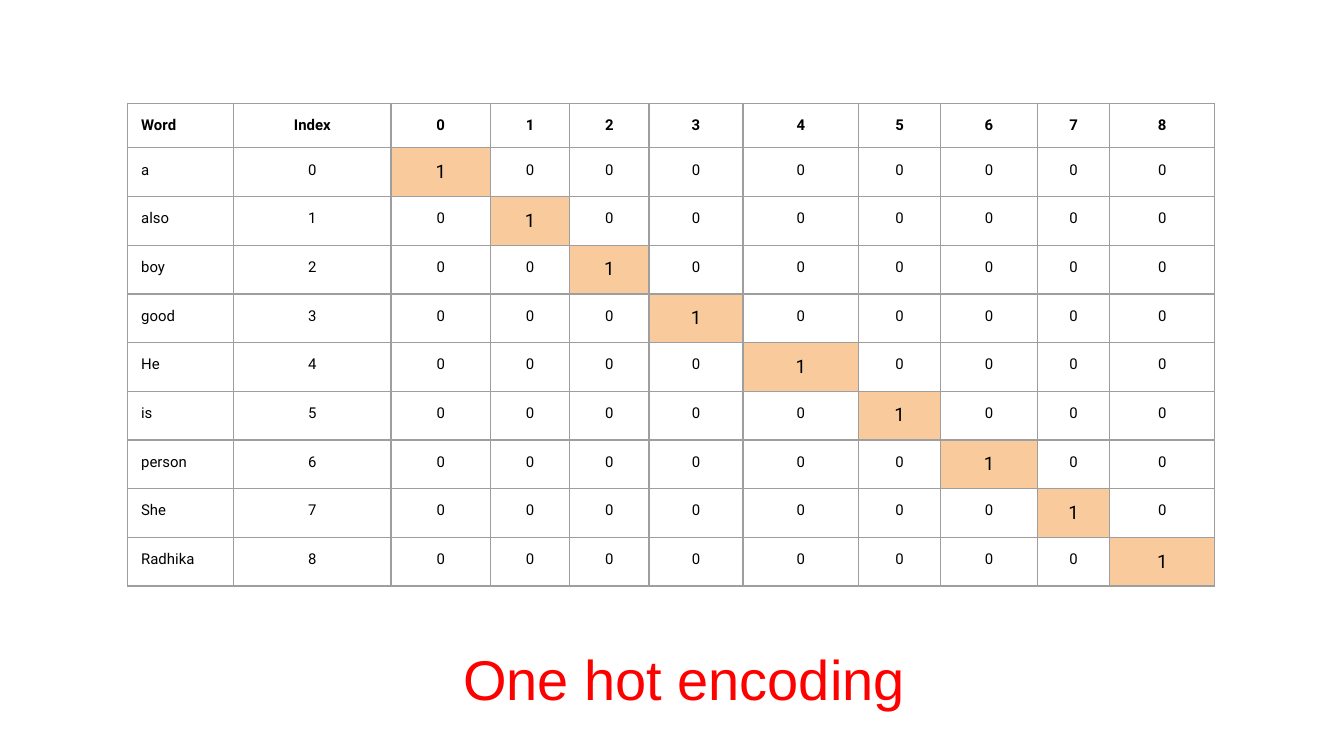
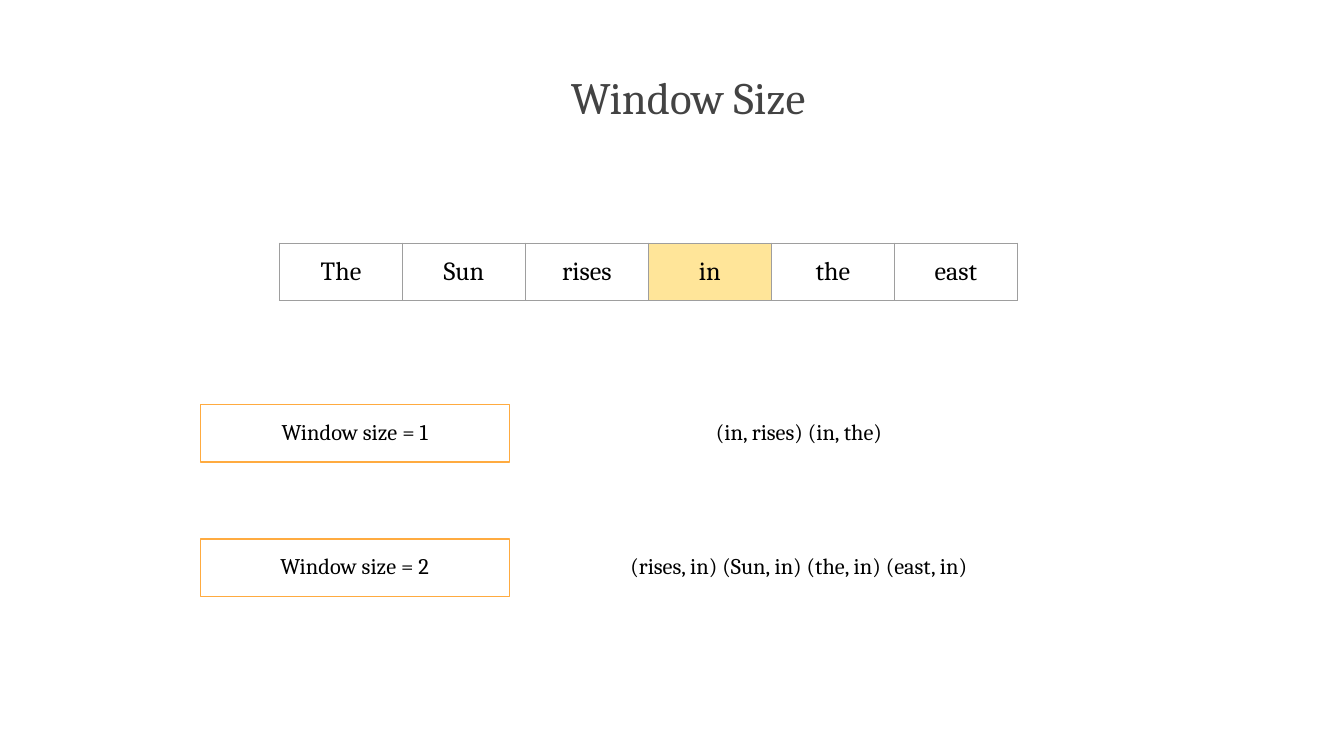
from lxml import etree
from pptx import Presentation
from pptx.dml.color import RGBColor as Rgb
from pptx.enum.shapes import MSO_SHAPE as Shape
from pptx.enum.text import MSO_ANCHOR as Anchor, MSO_AUTO_SIZE as AutoSize, PP_ALIGN as Align
from pptx.oxml.ns import qn
from pptx.util import Inches, Pt

COLORS = {
    "text": "000000",
    "title": "434343",
    "alert": "FF0000",
    "grid": "9E9E9E",
    "hot": "F9CB9C",
    "target": "FFE599",
    "frame": "FFAB40",
}
SERIF = "Cambria"
SANS = "Roboto"
UNIT = 0.1  # inches per grid column and row
PADDING = 1  # text inset in grid units
LINE_WIDTH = Pt(0.75)


def grid(count):
    return Inches(count * UNIT)


def color(name):
    return Rgb.from_string(COLORS[name])


def write(frame, text, size=12, font=SERIF, ink="text", bold=False,
          align=Align.CENTER, anchor=Anchor.TOP, after=0):
    frame.word_wrap = True
    frame.auto_size = AutoSize.NONE
    frame.vertical_anchor = anchor
    frame.margin_left = frame.margin_right = grid(PADDING)
    frame.margin_top = frame.margin_bottom = grid(PADDING)
    paragraph = frame.paragraphs[0]
    paragraph.alignment = align
    paragraph.space_before, paragraph.space_after = Pt(0), Pt(after)
    run = paragraph.add_run()
    run.text = text
    run.font.size, run.font.name, run.font.bold = Pt(size), font, bold
    run.font.color.rgb = color(ink)


class Deck:
    def __init__(self, columns, rows):
        self.presentation = Presentation()
        self.presentation.slide_width = grid(columns)
        self.presentation.slide_height = grid(rows)
        self.slide = None

    def add_slide(self):
        self.slide = self.presentation.slides.add_slide(self.presentation.slide_layouts[5])

    def title(self, text, left, top, width, height, **style):
        heading = self.slide.shapes.title
        heading.left, heading.top = grid(left), grid(top)
        heading.width, heading.height = grid(width), grid(height)
        write(heading.text_frame, text, anchor=Anchor.MIDDLE, **style)

    def text(self, text, left, top, width, height, **style):
        box = self.slide.shapes.add_textbox(grid(left), grid(top), grid(width), grid(height))
        write(box.text_frame, text, **style)

    def framed(self, text, left, top, width, height, **style):
        box = self.slide.shapes.add_shape(
            Shape.RECTANGLE, grid(left), grid(top), grid(width), grid(height))
        box.shadow.inherit = False
        box.fill.background()
        box.line.color.rgb = color("frame")
        box.line.width = LINE_WIDTH
        write(box.text_frame, text, **style)

    def table(self, left, top, widths, row_height, row_count):
        table = self.slide.shapes.add_table(
            row_count, len(widths), grid(left), grid(top),
            grid(sum(widths)), grid(row_height * row_count)).table
        table.first_row = table.horz_banding = False
        for column, width in zip(table.columns, widths):
            column.width = grid(width)
        return table

    def cell(self, cell, text, fill=None, **style):
        cell.margin_left = cell.margin_right = grid(PADDING)
        cell.margin_top = cell.margin_bottom = grid(PADDING)
        properties = cell._tc.get_or_add_tcPr()
        for side in ("lnL", "lnR", "lnT", "lnB"):
            border = etree.SubElement(properties, qn(f"a:{side}"), w=str(LINE_WIDTH))
            paint = etree.SubElement(border, qn("a:solidFill"))
            etree.SubElement(paint, qn("a:srgbClr"), val=COLORS["grid"])
        if fill:
            cell.fill.solid()
            cell.fill.fore_color.rgb = color(fill)
        else:
            cell.fill.background()
        paragraph = cell.text_frame.paragraphs[0]
        paragraph.alignment = style.get("align", Align.CENTER)
        run = paragraph.add_run()
        run.text = text
        run.font.size = Pt(style["size"])
        run.font.name = style["font"]
        run.font.bold = style.get("bold", False)
        run.font.color.rgb = color("text")


def one_hot_slide(deck):
    deck.add_slide()
    vocabulary = ["a", "also", "boy", "good", "He", "is", "person", "She", "Radhika"]
    widths = [7.9, 11.7, 7.4, 5.9, 5.9, 7, 8.6, 6.1, 7.2, 5.4, 7.8]
    encoding = deck.table(9.5, 7.7, widths, 2.5, len(vocabulary) + 1)

    # Header row
    header = ["Word", "Index", *map(str, range(len(vocabulary)))]
    for column, label in enumerate(header):
        deck.cell(encoding.cell(0, column), label, size=8, font=SANS, bold=True,
                  align=Align.CENTER if column else Align.LEFT)

    # One row per word, with a single hot position
    for index, word in enumerate(vocabulary):
        row = index + 1
        deck.cell(encoding.cell(row, 0), word, size=8, font=SANS, align=Align.LEFT)
        deck.cell(encoding.cell(row, 1), str(index), size=8, font=SANS)
        for position in range(len(vocabulary)):
            hot = position == index
            deck.cell(encoding.cell(row, position + 2), str(int(hot)), font=SANS,
                      size=10 if hot else 8, fill="hot" if hot else None)

    deck.title("One hot encoding", 11.2, 48.1, 79.4, 4.7, size=30, font="Arial", ink="alert")


def window_slide(deck):
    deck.add_slide()
    deck.title("Window Size", 7.3, 4.8, 87.8, 4.7, size=24, ink="title", after=16)

    # Sentence with the target word marked
    words = ["The", "Sun", "rises", "in", "the", "east"]
    sentence = deck.table(20.8, 18.1, [9.15] * len(words), 3.5, 1)
    for column, word in enumerate(words):
        deck.cell(sentence.cell(0, column), word, size=14, font=SERIF,
                  fill="target" if word == "in" else None)

    # Word pairs for each window size
    pairs = ["(in, rises) (in, the)", "(rises, in) (Sun, in) (the, in) (east, in)"]
    for step, pair in enumerate(pairs):
        top = 30.1 + 10 * step
        deck.text(pair, 36.2 + 0, top, 46.5, 4.3)
        deck.framed(f"Window size = {step + 1}", 14.9, top, 23, 4.3)


def main():
    deck = Deck(100, 56.25)
    one_hot_slide(deck)
    window_slide(deck)
    deck.presentation.save("out.pptx")


if __name__ == "__main__":
    main()
